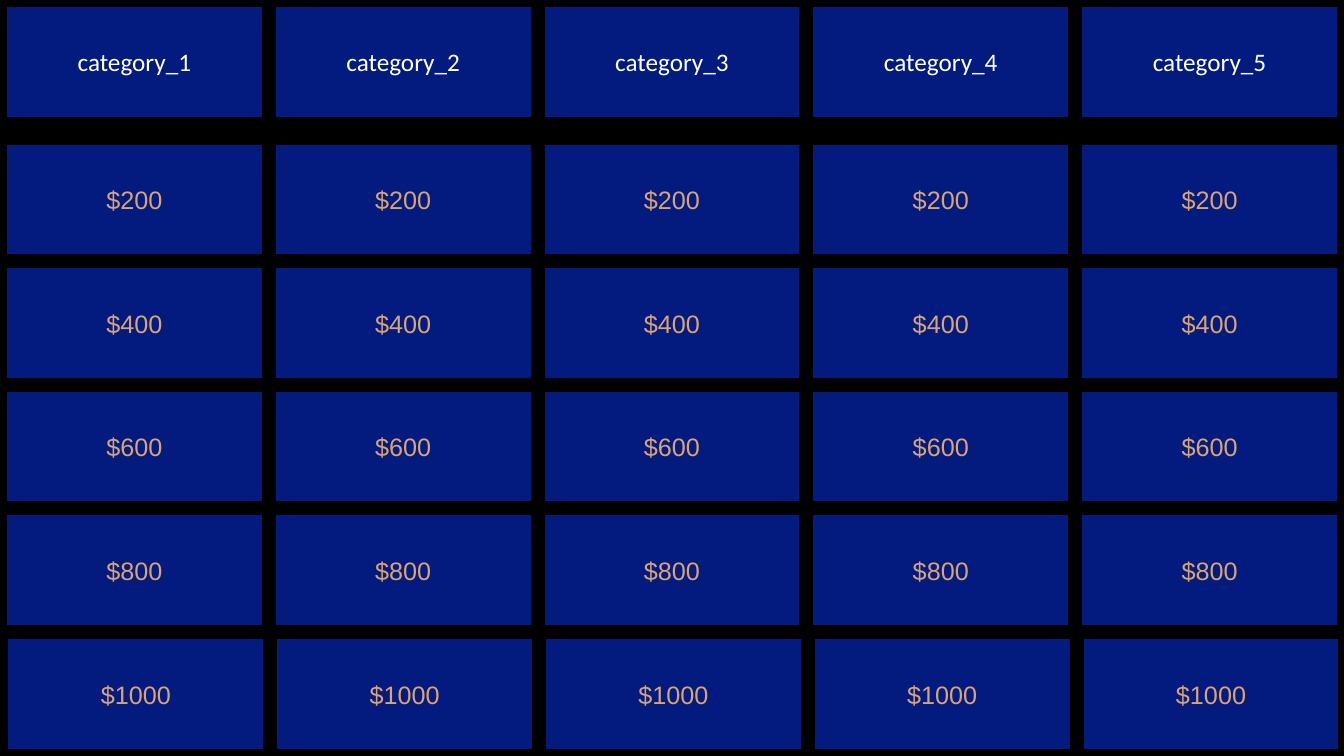
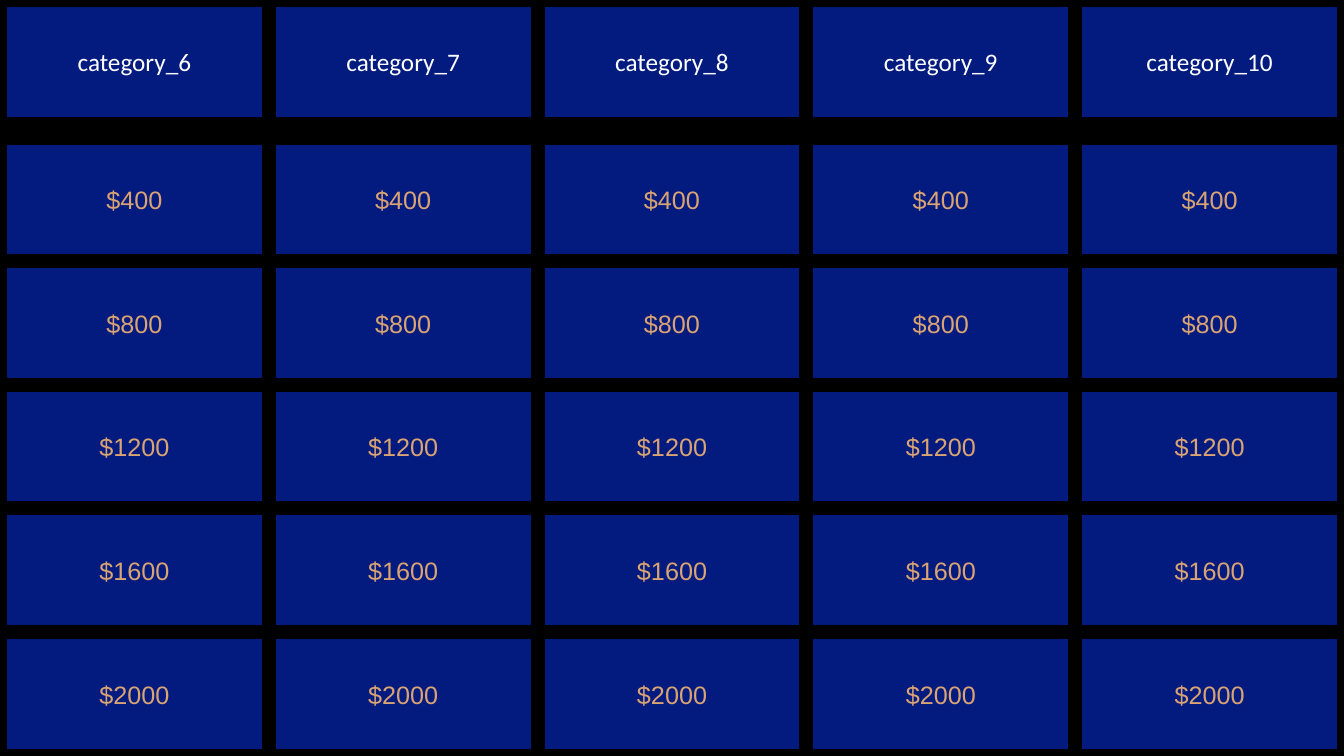
from pptx import Presentation
from pptx.dml.color import RGBColor
from pptx.enum.shapes import MSO_SHAPE
from pptx.enum.text import MSO_ANCHOR, PP_ALIGN
from pptx.util import Emu, Pt

RECTANGLE = MSO_SHAPE.RECTANGLE
MIDDLE = MSO_ANCHOR.MIDDLE
CENTER = PP_ALIGN.CENTER

BLACK = RGBColor(0x00, 0x00, 0x00)
NAVY = RGBColor(0x03, 0x1B, 0x7F)
WHITE = RGBColor(0xFF, 0xFF, 0xFF)
GOLD = RGBColor(0xD9, 0xA3, 0x73)

# Lengths in px, 144 to the inch
PX = 6350
PAGE_WIDTH, PAGE_HEIGHT = 1920, 1080
COLUMNS, ROWS = 5, 5
TILE_WIDTH, TILE_HEIGHT = PAGE_WIDTH // COLUMNS, 177
FIRST_ROW, LAST_ROW = 197, PAGE_HEIGHT - TILE_HEIGHT

CATEGORY = {"name": "Calibri", "size": Pt(18), "color": WHITE}
PRICE = {"name": "Arial", "size": Pt(18), "color": GOLD}

# Each board: first category number, price step, sideways shift of the last row
BOARDS = [(1, 200, 2), (6, 400, 0)]


class Board:
    """Game board style and the page being drawn."""

    def __init__(self):
        self.deck = Presentation()
        self.deck.slide_width = Emu(PAGE_WIDTH * PX)
        self.deck.slide_height = Emu(PAGE_HEIGHT * PX)
        self.page = None

    def new_page(self):
        self.page = self.deck.slides.add_slide(self.deck.slide_layouts[6])
        background = self.page.background.fill
        background.solid()
        background.fore_color.rgb = BLACK

    def tile(self, left, top, text, style):
        box = self.page.shapes.add_shape(
            RECTANGLE, *(Emu(n * PX) for n in (left, top, TILE_WIDTH, TILE_HEIGHT)))
        box.shadow.inherit = False
        box.fill.solid()
        box.fill.fore_color.rgb = NAVY
        box.line.color.rgb = BLACK
        box.line.width = Pt(10)
        frame = box.text_frame
        frame.word_wrap = True
        frame.vertical_anchor = MIDDLE
        para = frame.paragraphs[0]
        para.alignment = CENTER
        span = para.add_run()
        span.text = text
        for key, value in style.items():
            if key == "color":
                span.font.color.rgb = value
            else:
                setattr(span.font, key, value)

    def row(self, top, texts, style, shift=0):
        for column, text in enumerate(texts):
            self.tile(column * TILE_WIDTH + shift, top, text, style)


def main():
    board = Board()
    for first, step, last_shift in BOARDS:
        board.new_page()

        # Category headings
        names = [f"category_{first + column}" for column in range(COLUMNS)]
        board.row(0, names, CATEGORY)

        # Price rows, evenly spaced down to the page bottom
        for row in range(ROWS):
            top = FIRST_ROW + row * (LAST_ROW - FIRST_ROW) // (ROWS - 1)
            shift = last_shift if row == ROWS - 1 else 0
            board.row(top, [f"${step * (row + 1)}"] * COLUMNS, PRICE, shift)

    board.deck.save("out.pptx")


if __name__ == "__main__":
    main()
